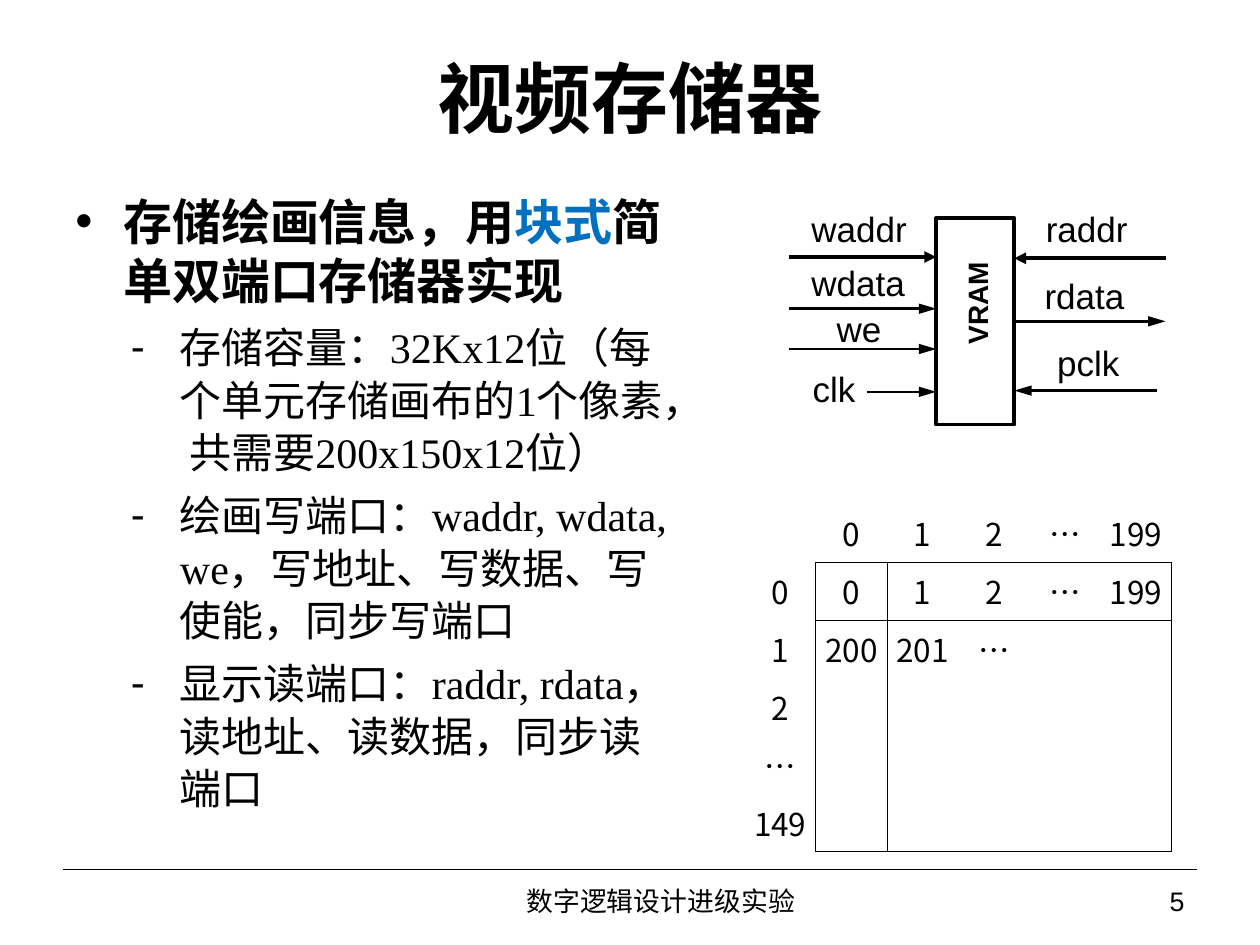
from dataclasses import dataclass

from lxml.etree import SubElement
from pptx import Presentation
from pptx.dml.color import RGBColor
from pptx.enum.shapes import MSO_CONNECTOR, MSO_SHAPE
from pptx.enum.text import MSO_ANCHOR, PP_ALIGN
from pptx.oxml.ns import qn
from pptx.util import Inches, Pt


@dataclass(frozen=True)
class Theme:
    ink: str = "000000"
    accent: str = "0070C0"
    paper: str = "FFFFFF"
    serif: str = "Times New Roman"
    sans: str = "Arial"
    cjk: str = "Noto Sans CJK SC"
    plain_table: str = "{2D5ABB26-0587-4C30-8999-92F81FD0307C}"
    title: float = 44
    lead: float = 28
    item: float = 24
    signal: float = 20
    cell: float = 18
    block: float = 16
    footer: float = 15.3
    thin: float = 0.45
    rule: float = 0.75
    wire: float = 1.5
    bus: float = 2.25


T = Theme()

TITLE = "视频存储器"
LEAD = [("存储绘画信息，用", T.ink), ("块式", T.accent), ("简单双端口存储器实现", T.ink)]
ITEMS = [
    "存储容量：32Kx12位（每个单元存储画布的1个像素， 共需要200x150x12位）",
    "绘画写端口：waddr, wdata, we，写地址、写数据、写使能，同步写端口",
    "显示读端口：raddr, rdata，读地址、读数据，同步读端口",
]
FOOTERS = [
    ("5", 7.75, 1.75, PP_ALIGN.RIGHT),
    ("数字逻辑设计进级实验", 2.83, 4.83, PP_ALIGN.CENTER),
]
GRID = [
    ["", "0", "1", "2", "…", "199"],
    ["0", "0", "1", "2", "…", "199"],
    ["1", "200", "201", "…", "", ""],
    ["2", "", "", "", "", ""],
    ["…", "", "", "", "", ""],
    ["149", "", "", "", "", ""],
]
GRID_X, GRID_Y, GRID_W, ROW_H = 5.91, 4, 3.39, 0.46
BLOCK_X, BLOCK_Y, BLOCK_W, BLOCK_H = 7.43, 1.73, 0.62, 1.64
LEFT, RIGHT, MID = BLOCK_X, BLOCK_X + BLOCK_W, BLOCK_Y + BLOCK_H / 2
SIGNALS = [
    ("waddr", 6.44, 1.65, 0.85, 6.26, LEFT, 2.04, T.bus),
    ("wdata", 6.44, 2.08, 0.85, 6.26, LEFT, 2.45, T.wire),
    ("we", 6.64, 2.44, 0.5, 6.26, LEFT, 2.77, T.wire),
    ("clk", 6.45, 2.92, 0.42, 6.88, LEFT, 3.11, T.wire),
    ("raddr", 8.3, 1.65, 0.75, 9.25, RIGHT, 2.05, T.bus),
    ("rdata", 8.29, 2.18, 0.75, RIGHT, 9.25, MID, T.wire),
    ("pclk", 8.39, 2.71, 0.65, 9.18, RIGHT, 3.1, T.wire),
]


def style(r, size, face, color=T.ink, bold=False):
    r.font.size, r.font.name, r.font.bold = Pt(size), face, bold
    r.font.color.rgb = RGBColor.from_string(color)
    SubElement(r.font._element, qn("a:ea"), typeface=T.cjk)


def add_text(s, text, x, y, w, h, size, face, align=PP_ALIGN.LEFT, bold=False,
             wrap=True, inset=(0.1, 0.05), anchor=MSO_ANCHOR.MIDDLE):
    sp = s.shapes.add_textbox(Inches(x), Inches(y), Inches(w), Inches(h))
    tf = sp.text_frame
    tf.word_wrap, tf.vertical_anchor = wrap, anchor
    tf.margin_left = tf.margin_right = Inches(inset[0])
    tf.margin_top = tf.margin_bottom = Inches(inset[1])
    tf.text = text
    p = tf.paragraphs[0]
    p.alignment = align
    for r in p.runs:
        style(r, size, face, bold=bold)
    return sp


def add_bullet(p, char, left, hang):
    pPr = p._p.get_or_add_pPr()
    pPr.set("marL", str(Inches(left)))
    pPr.set("indent", str(Inches(-hang)))
    SubElement(SubElement(pPr, qn("a:buClr")), qn("a:srgbClr"), val=T.ink)
    SubElement(pPr, qn("a:buFont"), typeface=T.sans)
    SubElement(pPr, qn("a:buChar"), char=char)
    p.space_after = Pt(6)


def add_body(s):
    tf = add_text(s, "", 0.5, 1.47, 4.94, 5.35, T.lead, T.serif, anchor=MSO_ANCHOR.TOP).text_frame
    p = tf.paragraphs[0]
    add_bullet(p, "•", 0.38, 0.38)
    for text, color in LEAD:
        r = p.add_run()
        r.text = text
        style(r, T.lead, T.serif, color, True)
    for text in ITEMS:
        p = tf.add_paragraph()
        p.text, p.level = text, 1
        add_bullet(p, "-", 0.83, 0.39)
        p.line_spacing = Pt(30)
        style(p.runs[0], T.item, T.serif)


def add_line(s, x1, x2, y, width, arrow=None):
    cn = s.shapes.add_connector(MSO_CONNECTOR.STRAIGHT, Inches(x1), Inches(y), Inches(x2), Inches(y))
    cn.line.width = Pt(width)
    cn.line.color.rgb = RGBColor.from_string(T.ink)
    if arrow:
        SubElement(cn.line._get_or_add_ln(), qn("a:tailEnd"), type="triangle", len=arrow)
    SubElement(cn._element.spPr, qn("a:effectLst"))
    return cn


def add_borders(cell, sides):
    tcPr = cell._tc.get_or_add_tcPr()
    for side in sides:
        ln = SubElement(tcPr, qn(f"a:ln{side}"), w=str(Pt(T.thin)))
        SubElement(SubElement(ln, qn("a:solidFill")), qn("a:srgbClr"), val=T.ink)


def frame_sides(row, col):
    last = len(GRID) - 1
    inside_row, inside_col = row > 0, col > 0
    rules = {
        "L": inside_row and col == 1,
        "R": inside_row and col in (0, last),
        "T": inside_col and row == 1,
        "B": inside_col and row in (0, last),
    }
    return [side for side, drawn in rules.items() if drawn]


def add_grid(s):
    n = len(GRID)
    tbl = s.shapes.add_table(n, n, Inches(GRID_X), Inches(GRID_Y),
                             Inches(GRID_W), Inches(ROW_H * n)).table
    tbl.first_row = tbl.horz_banding = False
    tbl._tbl.tblPr.find(qn("a:tableStyleId")).text = T.plain_table
    for i, row in enumerate(GRID):
        for j, text in enumerate(row):
            cell = tbl.cell(i, j)
            cell.text = text
            cell.vertical_anchor = MSO_ANCHOR.MIDDLE
            cell.margin_left = cell.margin_right = Inches(0.01)
            cell.margin_top = cell.margin_bottom = Inches(0.05)
            add_borders(cell, frame_sides(i, j))
            if i and j:
                cell.fill.solid()
                cell.fill.fore_color.rgb = RGBColor.from_string(T.paper)
            else:
                cell.fill.background()
            p = cell.text_frame.paragraphs[0]
            p.alignment = PP_ALIGN.CENTER
            for r in p.runs:
                style(r, T.cell, T.cjk)


def add_memory(s):
    block = s.shapes.add_shape(MSO_SHAPE.RECTANGLE, Inches(BLOCK_X), Inches(BLOCK_Y),
                               Inches(BLOCK_W), Inches(BLOCK_H))
    block.shadow.inherit = False
    block.fill.background()
    block.line.width = Pt(T.bus)
    block.line.color.rgb = RGBColor.from_string(T.ink)
    label = add_text(s, "VRAM", 7.33, 2.22, 0.85, 0.37, T.block, T.sans, bold=True,
                     wrap=False, anchor=MSO_ANCHOR.TOP)
    label.rotation = 270
    for name, x, y, w, start, end, wire_y, width in SIGNALS:
        add_text(s, name, x, y, w, 0.33, T.signal, T.sans, inset=(0, 0))
        cn = add_line(s, start, end, wire_y, width, "med" if width == T.bus else "lg")
        if wire_y == MID:
            cn.begin_connect(block, 3)


def main():
    prs = Presentation()
    prs.slide_width, prs.slide_height = Inches(10), Inches(7.5)
    s = prs.slides.add_slide(prs.slide_layouts[6])
    add_line(s, 0.5, 9.5, 6.9, T.rule)
    add_text(s, TITLE, 0.5, 0.3, 9, 0.93, T.title, T.serif, PP_ALIGN.CENTER, True)
    add_body(s)
    for text, x, w, align in FOOTERS:
        sp = add_text(s, text, x, 6.98, w, 0.37, T.footer, T.sans, align)
        sp.text_frame.paragraphs[0].line_spacing = 0.9
    add_grid(s)
    add_memory(s)
    prs.save("out.pptx")


if __name__ == "__main__":
    main()
